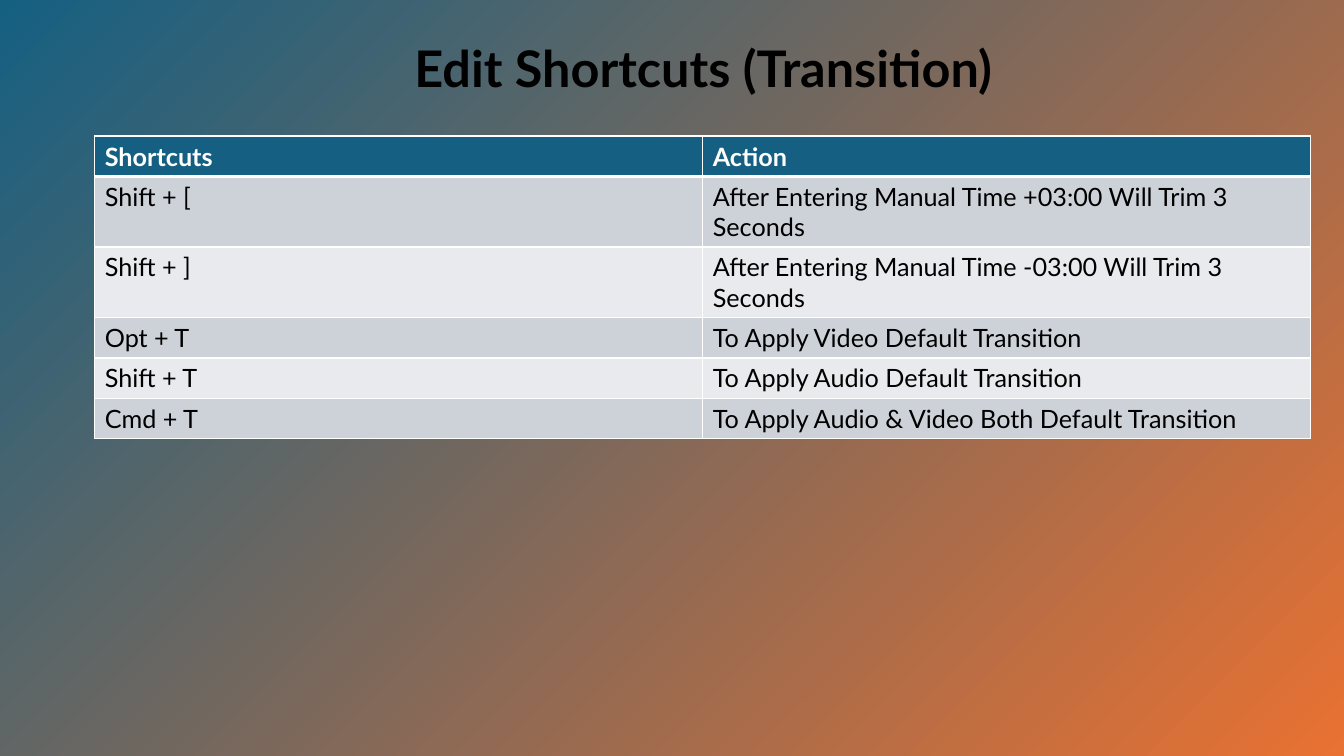
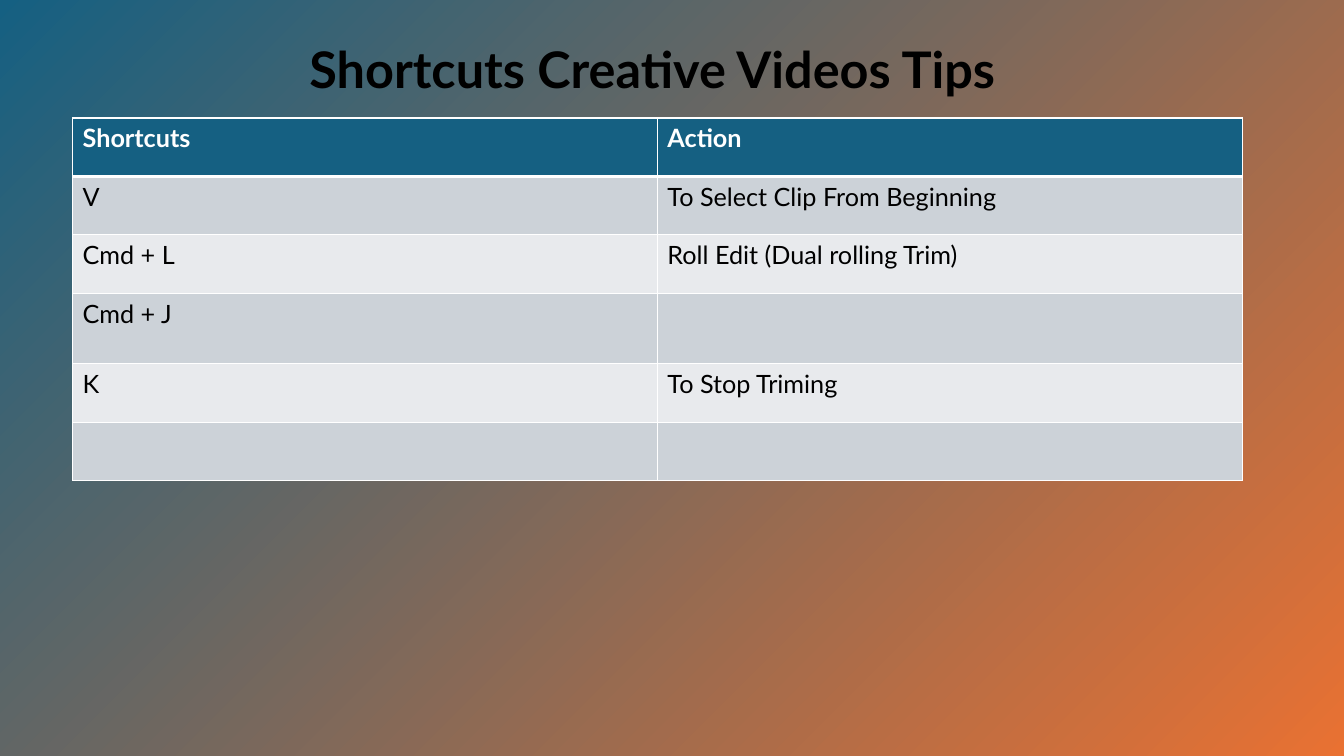
from lxml import etree
from pptx import Presentation
from pptx import util as u
from pptx.dml.color import RGBColor
from pptx.enum import shapes, text
from pptx.oxml.ns import qn

BLUE = RGBColor(0x15, 0x60, 0x82)
ORANGE = RGBColor(0xE9, 0x71, 0x32)
WHITE = RGBColor(0xFF, 0xFF, 0xFF)
BLACK = RGBColor(0x00, 0x00, 0x00)
BAND_DARK = RGBColor(0xCC, 0xD2, 0xD8)
BAND_LIGHT = RGBColor(0xE8, 0xEA, 0xED)

TITLE_FONT = {"name": "Lato", "size": u.Pt(36), "bold": True}
HEADER_FONT = {"name": "Lato", "size": u.Pt(18), "bold": True}
BODY_FONT = {**HEADER_FONT, "bold": False}
TITLE_FRAME = {
    "word_wrap": True,
    "vertical_anchor": text.MSO_ANCHOR.TOP,
    "auto_size": text.MSO_AUTO_SIZE.NONE,
}
HEADINGS = ("Shortcuts", "Action")
TITLE_ONLY = 5


def apply(target, values):
    for name, value in values.items():
        setattr(target, name, value)


class ShortcutDeck:
    """Holds the shared style and the slide being built."""

    def __init__(self):
        self.presentation = Presentation()
        self.presentation.slide_width = u.Inches(13.33)
        self.presentation.slide_height = u.Inches(7.5)
        self.slide = None

    def add_slide(self):
        layout = self.presentation.slide_layouts[TITLE_ONLY]
        self.slide = self.presentation.slides.add_slide(layout)
        self.add_backdrop()

    def add_backdrop(self):
        backdrop = self.slide.shapes.add_shape(
            shapes.MSO_SHAPE.RECTANGLE, 0, 0,
            self.presentation.slide_width, self.presentation.slide_height)
        backdrop.shadow.inherit = False
        backdrop.line.fill.background()
        backdrop.fill.gradient()
        backdrop.fill.gradient_angle = 315  # counter-clockwise: to bottom right
        for stop, position, color in zip(
                backdrop.fill.gradient_stops, (0, 1), (BLUE, ORANGE)):
            stop.position = position
            stop.color.rgb = color
        # Keep the backdrop behind the title
        self.slide.shapes.title.element.addprevious(backdrop.element)

    def format_text(self, paragraph, font, color):
        apply(paragraph.font, font)
        paragraph.font.color.rgb = color

    def add_title(self, wording, left, top, width):
        title = self.slide.shapes.title
        apply(title, {"left": u.Inches(left), "top": u.Inches(top),
                      "width": u.Inches(width), "height": u.Inches(0.71)})
        apply(title.text_frame, TITLE_FRAME)
        title.text_frame.text = wording
        paragraph = title.text_frame.paragraphs[0]
        paragraph.alignment = text.PP_ALIGN.CENTER
        self.format_text(paragraph, TITLE_FONT, BLACK)

    def add_borders(self, cell, top, bottom):
        properties = cell._tc.get_or_add_tcPr()
        for side, points in (("L", 1), ("R", 1), ("T", top), ("B", bottom)):
            line = etree.SubElement(
                properties, qn(f"a:ln{side}"), w=str(u.Pt(points)))
            fill = etree.SubElement(line, qn("a:solidFill"))
            etree.SubElement(fill, qn("a:srgbClr"), val=str(WHITE))

    def add_table(self, left, top, width, heights, entries):
        rows = [HEADINGS, *entries]
        table = self.slide.shapes.add_table(
            len(rows), len(HEADINGS), u.Inches(left), u.Inches(top),
            u.Inches(width), u.Inches(sum(heights))).table
        for index, (wordings, height) in enumerate(zip(rows, heights)):
            table.rows[index].height = u.Inches(height)
            header = index == 0
            band = BAND_DARK if index % 2 else BAND_LIGHT
            for cell, wording in zip(table.rows[index].cells, wordings):
                # A thick rule parts the header from the body
                self.add_borders(cell, top=3 if index == 1 else 1,
                                 bottom=3 if header else 1)
                cell.fill.solid()
                cell.fill.fore_color.rgb = BLUE if header else band
                cell.text = wording
                self.format_text(cell.text_frame.paragraphs[0],
                                 HEADER_FONT if header else BODY_FONT,
                                 WHITE if header else BLACK)

    def save(self):
        self.presentation.save("out.pptx")


def main():
    deck = ShortcutDeck()

    # Transition shortcuts
    deck.add_slide()
    deck.add_title("Edit Shortcuts (Transition)", 3.44, 0.32, 7.07)
    deck.add_table(0.94, 1.35, 12.06, (0.4, 0.7, 0.7, 0.4, 0.4, 0.4), [
        ("Shift + [", "After Entering Manual Time +03:00 Will Trim 3 Seconds"),
        ("Shift + ]", "After Entering Manual Time -03:00 Will Trim 3 Seconds"),
        ("Opt + T", "To Apply Video Default Transition"),
        ("Shift + T", "To Apply Audio Default Transition"),
        ("Cmd + T", "To Apply Audio & Video Both Default Transition"),
    ])

    # Creative video tips
    deck.add_slide()
    deck.add_title("Shortcuts Creative Videos Tips", 1.15, 0.33, 10.64)
    deck.add_table(0.72, 1.17, 11.6, (0.58, 0.58, 0.58, 0.7, 0.58, 0.58), [
        ("V", "To Select Clip From Beginning"),
        ("Cmd + L", "Roll Edit (Dual rolling Trim)"),
        ("Cmd + J", ""),
        ("K", "To Stop Triming"),
        ("", ""),
    ])

    deck.save()


if __name__ == "__main__":
    main()
